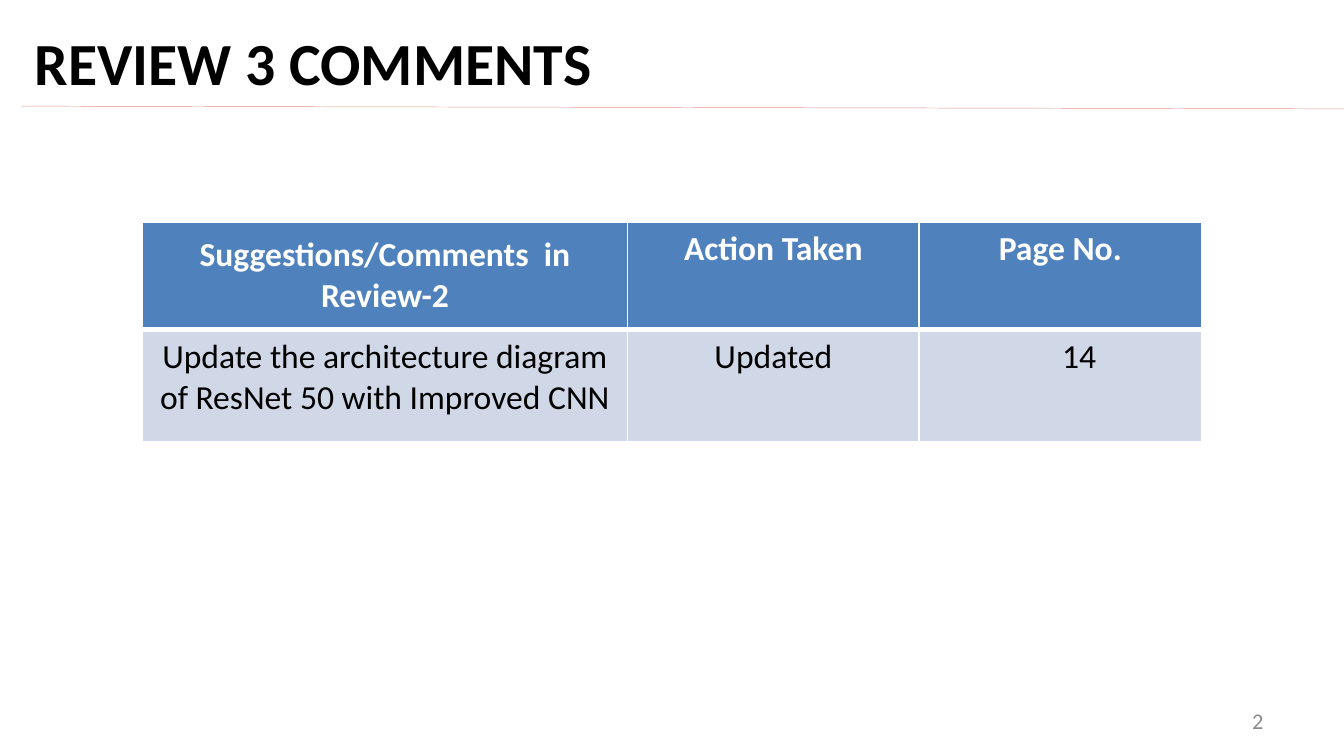
from lxml import etree
from pptx import Presentation
from pptx.dml.color import RGBColor
from pptx.enum.shapes import MSO_CONNECTOR
from pptx.enum.text import MSO_ANCHOR, PP_ALIGN
from pptx.oxml.ns import qn
from pptx.util import Inches, Pt

LEFT, CENTER, RIGHT = PP_ALIGN.LEFT, PP_ALIGN.CENTER, PP_ALIGN.RIGHT
TOP, MIDDLE = MSO_ANCHOR.TOP, MSO_ANCHOR.MIDDLE
STRAIGHT = MSO_CONNECTOR.STRAIGHT

COLORS = {
    "black": "000000",
    "white": "FFFFFF",
    "head": "4F81BD",
    "body": "D0D8E8",
    "rule": "E4948A",
    "number": "8C8C8C",
}
FORMATS = {
    "title": {"size": Pt(32), "bold": True},
    "head": {"size": Pt(18), "bold": True},
    "body": {"size": Pt(18), "bold": False},
    "number": {"size": Pt(12), "bold": False},
}
ROWS = [
    ["Suggestions/Comments  in Review-2", "Action Taken", "Page No."],
    ["Update the architecture diagram of ResNet 50 with Improved CNN",
     "Updated", "14"],
]
COLS = [3.61, 2.17, 2.1]
HEIGHTS = [0.8, 0.84]
INDENT = 0.38


def color(name):
    """Return the named colour."""
    return RGBColor.from_string(COLORS[name])


def write(frame, text, style, ink, align):
    """Put one styled paragraph into a text frame."""
    para = frame.paragraphs[0]
    para.alignment = align
    run = para.add_run()
    run.text = text
    run.font.name = "Calibri"
    run.font.color.rgb = color(ink)
    for key, value in FORMATS[style].items():
        setattr(run.font, key, value)


def add_text(slide, box, text, style, ink, align, anchor, wrap):
    """Add a text box in the given box."""
    frame = slide.shapes.add_textbox(*map(Inches, box)).text_frame
    frame.word_wrap = wrap
    frame.vertical_anchor = anchor
    write(frame, text, style, ink, align)


def add_rule(slide, start, end):
    """Draw the thin line under the title."""
    line = slide.shapes.add_connector(STRAIGHT, *map(Inches, start + end))
    line.line.color.rgb = color("rule")
    line.line.width = Pt(0.25)
    etree.SubElement(line.element.spPr, qn("a:effectLst"))


def set_edges(cell, base):
    """Draw white cell borders with the given bottom width in points."""
    props = cell._tc.get_or_add_tcPr()
    for spot, (side, width) in enumerate(zip("LRTB", (1, 1, 1, base))):
        edge = etree.Element(qn(f"a:ln{side}"), w=str(Pt(width)))
        fill = etree.SubElement(edge, qn("a:solidFill"))
        etree.SubElement(fill, qn("a:srgbClr"), val=COLORS["white"])
        props.insert(spot, edge)


def add_review(slide, left, top):
    """Add the table of review comments at the given corner."""
    box = (left, top, sum(COLS), sum(HEIGHTS))
    table = slide.shapes.add_table(
        len(ROWS), len(COLS), *map(Inches, box)).table
    for col, width in zip(table.columns, COLS):
        col.width = Inches(width)
    looks = [("head", "white", 3), ("body", "black", 1)]
    for r, (row, (style, ink, base)) in enumerate(zip(ROWS, looks)):
        table.rows[r].height = Inches(HEIGHTS[r])
        for c, text in enumerate(row):
            cell = table.cell(r, c)
            cell.fill.solid()
            cell.fill.fore_color.rgb = color(style)
            set_edges(cell, base)
            write(cell.text_frame, text, style, ink, CENTER)
    table.cell(0, 0).vertical_anchor = MIDDLE
    table.cell(1, 2).margin_left = Inches(INDENT)


def main():
    """Build and save the slide."""
    deck = Presentation()
    deck.slide_width = Inches(10)
    deck.slide_height = deck.slide_width * 9 // 16
    slide = deck.slides.add_slide(deck.slide_layouts[6])
    add_text(slide, (0.16, 0.14, 4.49, 0.64), "REVIEW 3 COMMENTS",
             "title", "black", LEFT, TOP, False)
    add_review(slide, 1.06, 1.65)
    add_rule(slide, (0.16, 0.79), (10, 0.81))
    add_text(slide, (7.17, 5.21, 2.33, 0.3), "2",
             "number", "number", RIGHT, MIDDLE, True)
    deck.save("out.pptx")


if __name__ == "__main__":
    main()
